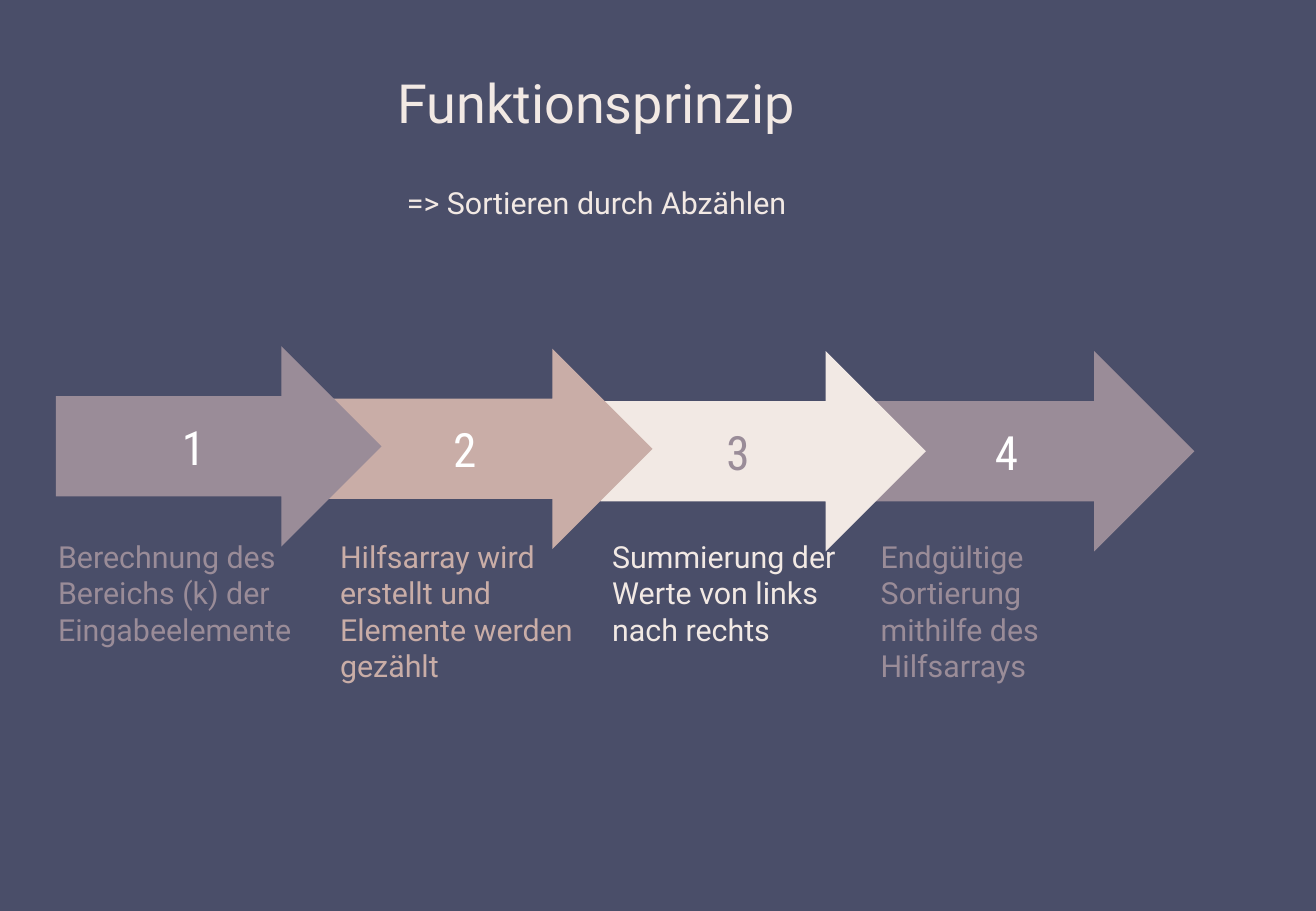
from pptx import Presentation
from pptx.dml.color import RGBColor
from pptx.enum.shapes import MSO_SHAPE
from pptx.enum.text import MSO_ANCHOR, MSO_AUTO_SIZE, PP_ALIGN
from pptx.util import Inches, Pt

NIGHT = RGBColor(0x4A, 0x4E, 0x69)
MAUVE = RGBColor(0x9A, 0x8C, 0x98)
ROSE = RGBColor(0xC9, 0xAD, 0xA7)
CREAM = RGBColor(0xF2, 0xE9, 0xE4)
WHITE = RGBColor(0xFF, 0xFF, 0xFF)

ARROW_SIZE = (2.68, 1.65)
CAPTION_TOP = 4.38

STEPS = [
    ("1", (0.46, 2.85), MAUVE, WHITE,
     "Berechnung des Bereichs (k) der Eingabeelemente", (0.38, 2.44, 1.01)),
    ("2", (2.69, 2.87), ROSE, WHITE,
     "Hilfsarray wird erstellt und Elemente werden gezählt", (2.7, 2.39, 1.31)),
    ("3", (4.94, 2.89), CREAM, MAUVE,
     "Summierung der Werte von links nach rechts", (4.94, 2.13, 1.01)),
    ("4", (7.15, 2.89), MAUVE, WHITE,
     "Endgültige Sortierung mithilfe des Hilfsarrays", (7.15, 2.13, 1.31)),
]


def write(shape, text, size=18, color=CREAM, font="Roboto", align=PP_ALIGN.LEFT,
          anchor=MSO_ANCHOR.TOP, wrap=True, fit=MSO_AUTO_SIZE.SHAPE_TO_FIT_TEXT):
    frame = shape.text_frame
    frame.word_wrap = wrap
    frame.auto_size = fit
    frame.vertical_anchor = anchor
    paragraph = frame.paragraphs[0]
    paragraph.alignment = align
    run = paragraph.add_run()
    run.text = text
    run.font.name = font
    run.font.size = Pt(size)
    run.font.color.rgb = color


def add_title(slide, text, left, top, width, height):
    title = slide.shapes.title
    title.left, title.top = Inches(left), Inches(top)
    title.width, title.height = Inches(width), Inches(height)
    write(title, text, size=32, wrap=False)


def add_text(slide, text, left, top, width, height, **style):
    box = slide.shapes.add_textbox(
        Inches(left), Inches(top), Inches(width), Inches(height))
    write(box, text, **style)


def add_arrow(slide, number, left, top, fill, number_color):
    width, height = ARROW_SIZE
    arrow = slide.shapes.add_shape(
        MSO_SHAPE.RIGHT_ARROW,
        Inches(left), Inches(top), Inches(width), Inches(height))
    arrow.shadow.inherit = False
    arrow.fill.solid()
    arrow.fill.fore_color.rgb = fill
    arrow.line.fill.background()
    write(arrow, number, size=28, color=number_color, font="Roboto Condensed",
          align=PP_ALIGN.CENTER, anchor=MSO_ANCHOR.MIDDLE, fit=MSO_AUTO_SIZE.NONE)


def main():
    presentation = Presentation()
    presentation.slide_width = Inches(10.83)
    presentation.slide_height = Inches(7.5)
    slide = presentation.slides.add_slide(presentation.slide_layouts[5])
    slide.background.fill.solid()
    slide.background.fill.fore_color.rgb = NIGHT

    add_title(slide, "Funktionsprinzip", 3.17, 0.52, 3.55, 0.64)
    add_text(slide, "=> Sortieren durch Abzählen", 3.25, 1.47, 3.39, 0.4, wrap=False)

    for number, (left, top), fill, number_color, _, _ in reversed(STEPS):
        add_arrow(slide, number, left, top, fill, number_color)
    for _, _, color, _, caption, (left, width, height) in STEPS:
        add_text(slide, caption, left, CAPTION_TOP, width, height, color=color)

    presentation.save("out.pptx")


if __name__ == "__main__":
    main()
